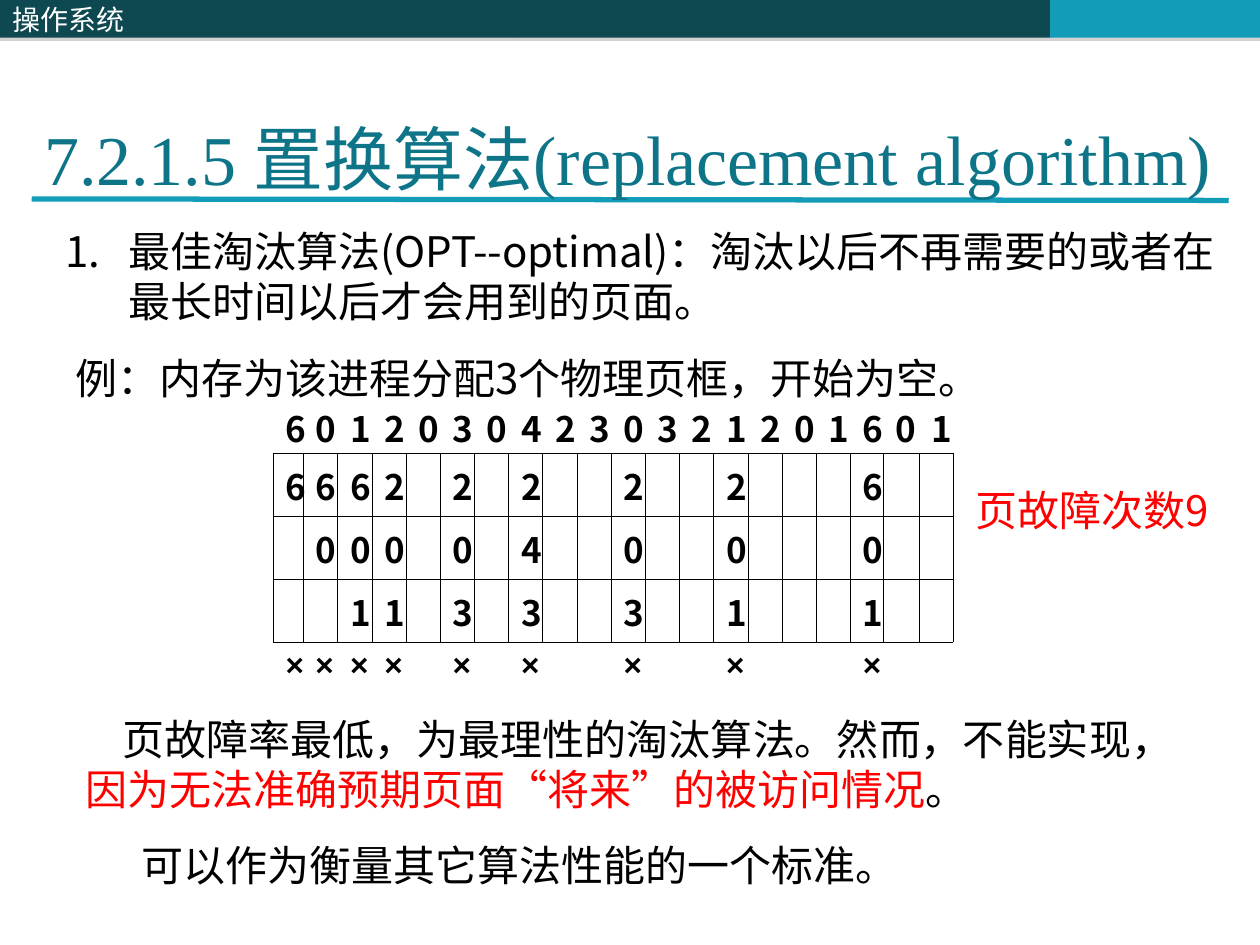
"""Build the slide on the optimal page replacement algorithm."""
from dataclasses import dataclass
from typing import Optional

from lxml import etree
from pptx import Presentation, util as u
from pptx.dml import color
from pptx.enum import shapes, text
from pptx.oxml import ns

Cm, Pt = u.Cm, u.Pt
CJK = "Noto Sans CJK SC"
LINE = 28.7


@dataclass
class Run:
    text: str
    color: str = "000000"


@dataclass
class Para:
    runs: list[Run]
    indent: float = 0
    numbered: bool = False


@dataclass
class Bar:
    left: float
    width: float
    color: str


@dataclass
class Row:
    values: str
    height: float
    top: float
    edges: str
    size: int = 20
    font: str = CJK
    line: Optional[int] = 22


BARS = [Bar(10.36, 10.81, "0E4851"), Bar(21.17, 4.23, "139CB7"), Bar(0, 10.36, "0E4851")]
COLUMNS = [0.6, 0.7] + [0.69] * 15 + [0.66, 0.73, 0.68]
ROWS = [
    Row("60120304230321201601", 1.08, 0.3, "B"),
    Row("6662 2 2  2  2   6  ", 1.27, 0.38, "LRTB"),
    Row(" 000 0 4  0  0   0  ", 1.27, 0.38, "LRTB"),
    Row("  11 3 3  3  1   1  ", 1.27, 0.38, "LRTB"),
    Row("×××× × ×  ×  ×   ×  ", 1.02, 0.13, "T", 18, "Arial", None),
]
DEFINITION = [
    Para([Run("最佳淘汰算法(OPT--optimal)：淘汰以后不再需要的或者在最长时间以后才会用到的页面。")], numbered=True),
    Para([Run("例：内存为该进程分配3个物理页框，开始为空。")], 0.2),
]
ASSESSMENT = [
    Para([Run("页故障率最低，为最理性的淘汰算法。然而，不能实现，"),
          Run("因为无法准确预期页面“将来”的被访问情况", "FF0000"), Run("。")], 0.76),
    Para([Run("可以作为衡量其它算法性能的一个标准。")], 1.14),
]


def rgb(value: str) -> color.RGBColor:
    return color.RGBColor.from_string(value)


def add(parent, tag: str, **attrs):
    return etree.SubElement(parent, ns.qn(tag), attrs)


def style(r, size: float, fill: str, font: str = CJK, east: str = CJK, bold: bool = False) -> None:
    r.font.size, r.font.name, r.font.bold = Pt(size), font, bold
    r.font.color.rgb = rgb(fill)
    add(r._r.get_or_add_rPr(), "a:ea", typeface=east)


def draw_bar(s, bar: Bar):
    sp = s.shapes.add_shape(shapes.MSO_SHAPE.RECTANGLE, Cm(bar.left), 0, Cm(bar.width), Cm(0.76))
    sp.fill.solid()
    sp.fill.fore_color.rgb = rgb(bar.color)
    sp.line.fill.background()
    sp.shadow.inherit = False
    effects = sp._element.spPr.find(ns.qn("a:effectLst"))
    shadow = add(effects, "a:outerShdw", dist=str(Pt(1.8)), dir="5400000", algn="t", rotWithShape="0")
    add(add(shadow, "a:srgbClr", val="808080"), "a:alpha", val="35000")
    return sp


def draw_rule(s) -> None:
    sp = s.shapes.add_connector(shapes.MSO_CONNECTOR.STRAIGHT, Cm(0.64), Cm(4.01), Cm(24.77), Cm(4.04))
    sp.line.color.rgb = rgb("139CB7")
    sp.line.width = Pt(3)
    add(sp._element.spPr, "a:effectLst")


def draw_text(s, left: float, top: float, width: float, height: float,
              paras: list[Para], wrap: bool = True) -> None:
    tf = s.shapes.add_textbox(Cm(left), Cm(top), Cm(width), Cm(height)).text_frame
    tf.word_wrap = wrap
    tf.margin_top, tf.margin_bottom = Cm(0.23), Cm(0.03)
    for i, para in enumerate(paras):
        p = tf.add_paragraph() if i else tf.paragraphs[0]
        pPr = p._p.get_or_add_pPr()
        hang = Cm(1.27) if para.numbered else 0
        pPr.set("marL", str(hang))
        pPr.set("indent", str(Cm(para.indent) - hang))
        if para.numbered:
            add(add(pPr, "a:buClr"), "a:srgbClr", val="000000")
            add(pPr, "a:buFont", typeface=CJK)
            add(pPr, "a:buAutoNum", type="arabicPeriod")
        p.line_spacing = Pt(LINE)
        p.space_before = Pt(15 if i else 0)
        for run in para.runs:
            r = p.add_run()
            r.text = run.text
            style(r, 24, run.color)


def draw_cell(cell, value: str, row: Row) -> None:
    cell.margin_left = cell.margin_right = Cm(0.25)
    cell.margin_top, cell.margin_bottom = Cm(row.top), 0
    tcPr = cell._tc.get_or_add_tcPr()
    for side in "LRTB":
        ln = add(tcPr, f"a:ln{side}", w=str(Pt(0.45)))
        if side in row.edges:
            add(add(ln, "a:solidFill"), "a:srgbClr", val="000000")
        else:
            add(ln, "a:noFill")
    cell.fill.background()
    if value.strip():
        p = cell.text_frame.paragraphs[0]
        p.text = value
        if row.line:
            p.line_spacing = Pt(row.line)
        style(p.runs[0], row.size, "000000", row.font, row.font, True)


def draw_trace(s) -> None:
    frame = s.shapes.add_table(len(ROWS), len(COLUMNS), Cm(5.51), Cm(8.05),
                               Cm(sum(COLUMNS)), Cm(sum(row.height for row in ROWS)))
    table = frame.table
    table.first_row = table.horz_banding = False
    for column, width in zip(table.columns, COLUMNS):
        column.width = Cm(width)
    for i, row in enumerate(ROWS):
        table.rows[i].height = Cm(row.height)
        for j, value in enumerate(row.values):
            draw_cell(table.cell(i, j), value, row)


def draw_title(s) -> None:
    tf = s.shapes.add_textbox(Cm(0.64), Cm(0.84), Cm(25.83), Cm(3.18)).text_frame
    tf.word_wrap = True
    tf.vertical_anchor = text.MSO_ANCHOR.BOTTOM
    tf.margin_bottom = 0
    tf.text = "7.2.1.5 置换算法(replacement algorithm)"
    style(tf.paragraphs[0].runs[0], 40, "0E7589", "Times New Roman")


def main() -> None:
    prs = Presentation()
    prs.slide_width, prs.slide_height = Cm(25.4), Cm(19.05)
    s = prs.slides.add_slide(prs.slide_layouts[6])
    bars = [draw_bar(s, bar) for bar in BARS]
    tf = bars[-1].text_frame
    tf.text = "操作系统"
    tf.paragraphs[0].alignment = text.PP_ALIGN.LEFT
    style(tf.paragraphs[0].runs[0], 16, "FFFFFF")
    draw_rule(s)
    draw_text(s, 1.07, 4.32, 24.33, 3.84, DEFINITION)
    draw_trace(s)
    draw_title(s)
    draw_text(s, 1.47, 14.15, 22.66, 3.84, ASSESSMENT)
    draw_text(s, 19.41, 9.55, 5.97, 1.27, [Para([Run("页故障次数9", "FF0000")])], wrap=False)
    prs.save("out.pptx")


if __name__ == "__main__":
    main()
